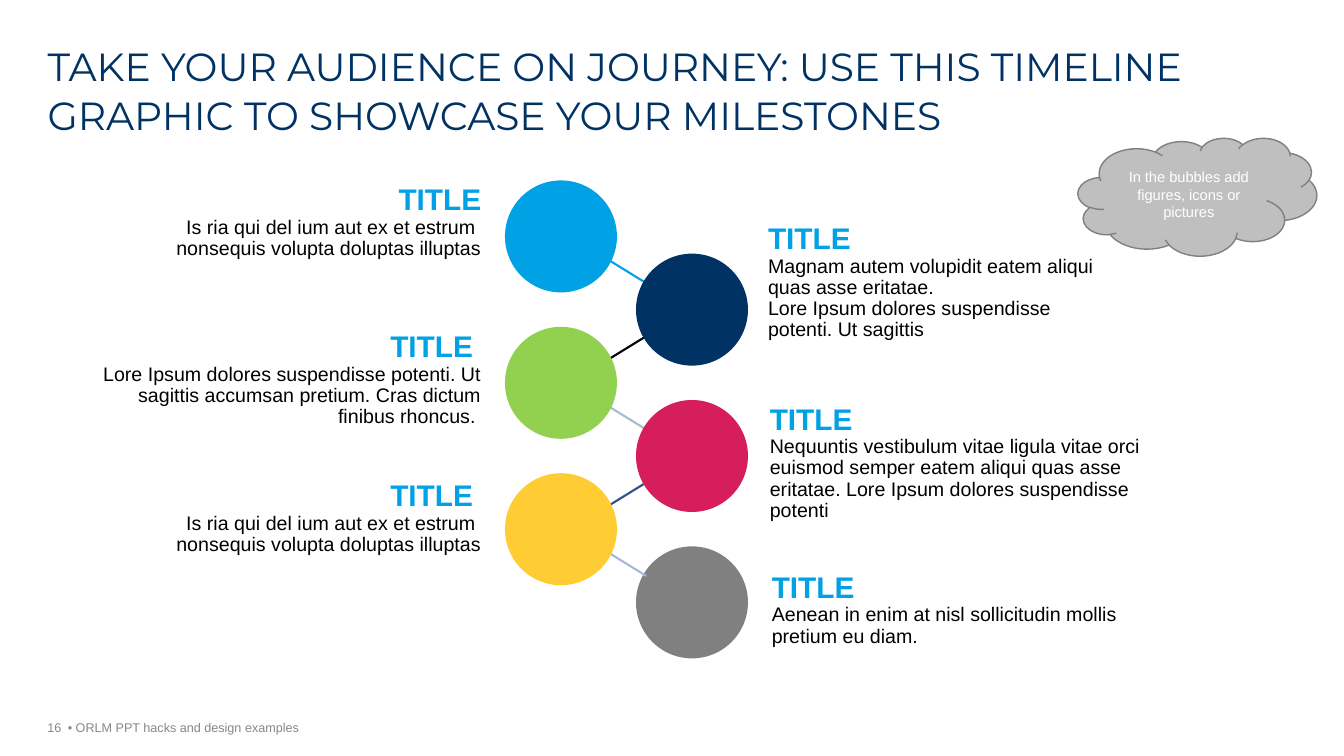
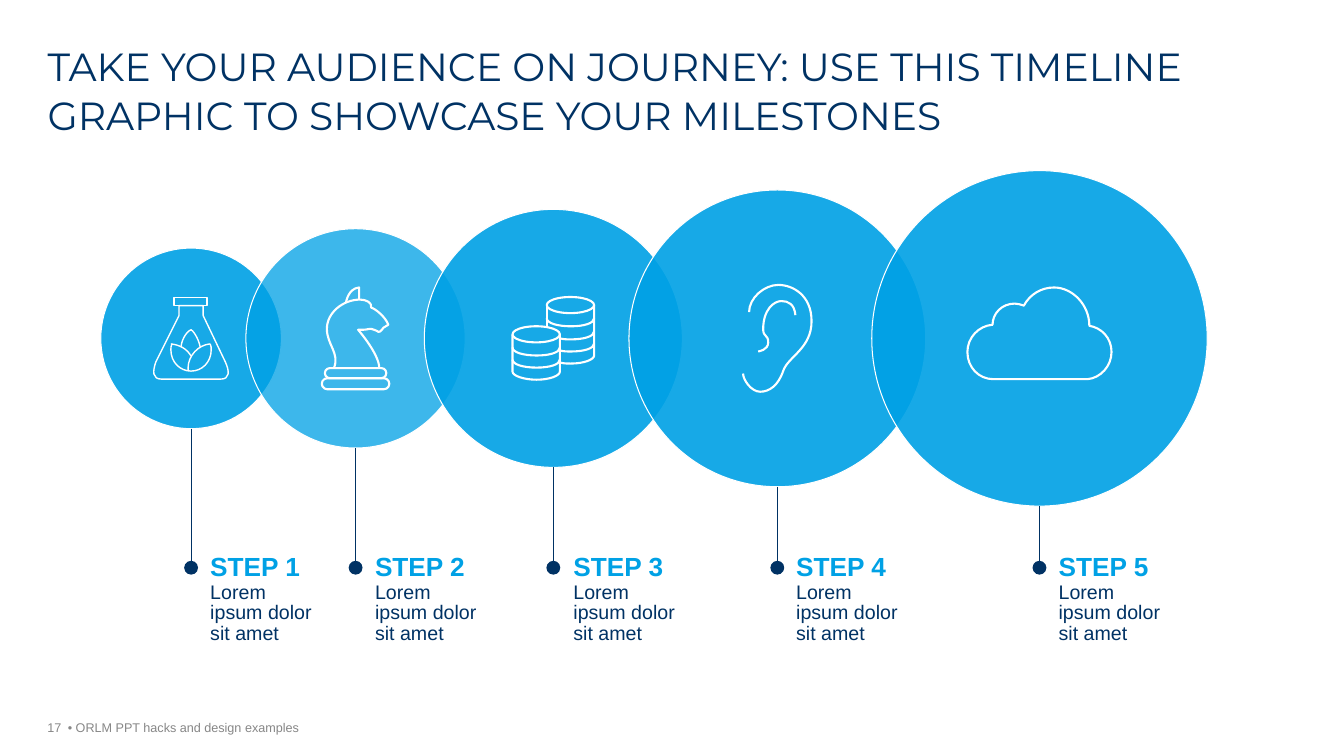
import copy
from dataclasses import dataclass

import lxml.etree
import pptx
import pptx.dml.color
import pptx.enum.shapes
import pptx.enum.text
import pptx.oxml.ns
import pptx.util

Pt = pptx.util.Pt
SHAPE = pptx.enum.shapes.MSO_SHAPE
ALIGN = pptx.enum.text.PP_ALIGN
ANCHOR = pptx.enum.text.MSO_ANCHOR
qn = pptx.oxml.ns.qn


@dataclass(frozen=True)
class Theme:
    title_font: str = "Montserrat"
    font: str = "Arial"
    navy: str = "003264"
    blue: str = "00A1E5"
    green: str = "92D050"
    red: str = "D61E5C"
    yellow: str = "FFCC33"
    grey: str = "808080"
    silver: str = "BFBFBF"
    footer: str = "878787"
    black: str = "000000"
    white: str = "FFFFFF"
    links: tuple = ("00A1E5", "00050A", "A5BECB", "2E518E", "A5B8D9")
    title_size: float = 28
    heading_size: float = 21.3
    step_size: float = 18.7
    body_size: float = 14
    note_size: float = 10.5
    footer_size: float = 9


T = Theme()
TITLE = "TAKE YOUR AUDIENCE ON JOURNEY: USE THIS TIMELINE GRAPHIC TO SHOWCASE YOUR MILESTONES"
FOOTER = "• ORLM PPT hacks and design examples"
UNIT = 0.72  # points per icon grid unit

# Milestones from top to bottom: circle colour, label box, heading, paragraphs
MILESTONES = [
    (T.blue, (59.3, 132.1, 284.4, 54), "TITLE",
     ["Is ria qui del ium aut ex et estrum \vnonsequis volupta doluptas illuptas"]),
    (T.navy, (548.6, 160.1, 241.2, 84), "TITLE",
     ["Magnam autem volupidit eatem aliqui quas asse eritatae.",
      "Lore Ipsum dolores suspendisse potenti. Ut sagittis"]),
    (T.green, (59.3, 237.2, 284.4, 69), "TITLE ",
     ["Lore Ipsum dolores suspendisse potenti. Ut sagittis accumsan pretium. "
      "Cras dictum finibus rhoncus. "]),
    (T.red, (549.9, 289, 267.8, 84), "TITLE",
     ["Nequuntis vestibulum vitae ligula vitae orci euismod semper eatem aliqui "
      "quas asse eritatae. Lore Ipsum dolores suspendisse potenti"]),
    (T.yellow, (59.3, 343.7, 284.4, 54), "TITLE ",
     ["Is ria qui del ium aut ex et estrum \vnonsequis volupta doluptas illuptas"]),
    (T.grey, (551.3, 409.1, 285, 54), "TITLE",
     ["Aenean in enim at nisl sollicitudin mollis pretium eu diam."]),
]


def coin_edge(right, y):
    """Lower edge of a whole coin, 47 units wide."""
    return (f"M{right} {y} C{right} {y + 5} {right - 10} {y + 8} {right - 23} {y + 8} "
            f"C{right - 36} {y + 8} {right - 47} {y + 5} {right - 47} {y}")


def hidden_coin_edge(y):
    """Lower edge of a coin partly behind the front stack."""
    return f"M81 {y} C81 {y + 5} 71 {y + 8} 58 {y + 8} C54 {y + 8} 51 {y + 8} 47 {y + 7}"


# Strokes: M, L, C, Z outlines; E ellipse, R rectangle, P pill (x y w h); S line
FLASK = ["R22 0 33 8",
         "M73 64 L51 18 L51 8 L27 8 L27 18 L4 64 C1 73 0 81 10 81 L68 81 C78 81 77 73 73 64 Z",
         "M58 46 C59 48 59 50 59 52 C59 64 50 73 39 73 C28 73 19 64 19 52 C19 50 19 48 20 46",
         "M39 58 C35 51 28 47 19 46",
         "M58 46 C46 47 36 58 36 70 C36 71 36 72 36 72",
         "M29 49 C30 39 37 32 39 32 C40 32 46 39 48 49"]
KNIGHT = ["M12 80 C18 65 5 57 5 41 C5 25 21 12 38 12 C44 12 50 15 49 20 C53 21 63 29 66 37 "
          "L61 40 C61 40 58 45 56 44 C55 43 50 41 48 41 C46 41 45 42 40 42 L36 42 "
          "C36 42 57 66 57 80",
          "M24 15 C24 15 26 1 37 0 C37 4 37 12 37 12",
          "P3 80 61 10", "P0 90 67 11"]
COINS = ["E0 29 47 16", "M47 37 L47 74 C47 78 37 82 24 82 C11 82 0 78 0 74 L0 37",
         coin_edge(47, 62), coin_edge(47, 50),
         "E34 0 47 16", "S34 30 34 8",
         "M81 8 L81 58 C81 62 71 66 58 66 C54 66 51 66 47 65",
         hidden_coin_edge(46), hidden_coin_edge(34), coin_edge(81, 21)]
EAR = ["M6 27 C6 13 21 0 35 0 C49 0 68 10 68 36 C68 63 45 71 40 85 C35 100 26 106 17 106 "
       "C8 106 0 94 0 88",
       "M52 30 C51 19 45 16 38 16 C31 16 20 24 20 44 C20 52 25 49 25 57 C25 65 15 66 15 66"]
CLOUD = ["M121 38 C121 17 104 0 86 0 C73 0 62 7 56 18 C53 17 50 16 47 16 C34 16 25 26 25 37 "
         "C11 38 0 50 0 64 C0 79 11 91 26 91 L119 91 C132 90 143 78 143 64 "
         "C143 50 133 40 121 38 Z"]

# Steps: circle centre, label left, opacity in percent, icon, its size in units, line width
STEPS = [
    (136.5, 130.7, 91, FLASK, (78, 81), 1),
    (254, 248.4, 76, KNIGHT, (67, 101), 1.5),
    (395.25, 390.1, 91, COINS, (81, 82), 1.5),
    (555.25, 549.2, 91, EAR, (68, 106), 1.5),
    (742.5, 736.7, 91, CLOUD, (143, 101), 1.5),
]


def rgb(color):
    return pptx.dml.color.RGBColor.from_string(color)


def write(p, text, size=T.body_size, color=T.black, font=T.font, bold=False,
          align=ALIGN.LEFT, spacing=1.0):
    p.text = text
    p.alignment, p.line_spacing = align, spacing
    for r in p.runs:
        r.font.name, r.font.size, r.font.bold = font, Pt(size), bold
        r.font.color.rgb = rgb(color)
    for br in p._p.findall(qn("a:br")):
        br.insert(0, copy.deepcopy(p.runs[0]._r.rPr))


def frame(sp, insets=(0, 0, 0, 0), anchor=ANCHOR.TOP):
    tf = sp.text_frame
    tf.word_wrap = True
    tf.auto_size = pptx.enum.text.MSO_AUTO_SIZE.NONE
    tf.vertical_anchor = anchor
    tf.margin_left, tf.margin_top, tf.margin_right, tf.margin_bottom = map(Pt, insets)
    return tf


def text_box(slide, box, insets=(0, 0, 0, 0), anchor=ANCHOR.TOP):
    return frame(slide.shapes.add_textbox(*map(Pt, box)), insets, anchor)


def paint(sp, fill=None, line=None, width=1, opacity=100):
    sp.shadow.inherit = False
    if fill:
        sp.fill.solid()
        sp.fill.fore_color.rgb = rgb(fill)
        if opacity < 100:
            clr = sp._element.spPr.find(qn("a:solidFill"))[0]
            lxml.etree.SubElement(clr, qn("a:alpha"), val=str(opacity * 1000))
    else:
        sp.fill.background()
    if line:
        sp.line.color.rgb = rgb(line)
        sp.line.width = Pt(width)
    else:
        sp.line.fill.background()
    return sp


def add_shape(shapes, kind, box, **style):
    return paint(shapes.add_shape(kind, *map(Pt, box)), **style)


def add_circle(slide, center, d, **style):
    x, y = center
    add_shape(slide.shapes, SHAPE.OVAL, (x - d / 2, y - d / 2, d, d), **style)


def add_line(shapes, start, end, color, width, dot=False):
    kind = pptx.enum.shapes.MSO_CONNECTOR.STRAIGHT
    sp = shapes.add_connector(kind, *map(Pt, (*start, *end)))
    sp.line.color.rgb, sp.line.width = rgb(color), Pt(width)
    if dot:
        lxml.etree.SubElement(sp.line._get_or_add_ln(), qn("a:tailEnd"),
                              type="oval", w="lg", len="lg")
    lxml.etree.SubElement(sp._element.spPr, qn("a:effectLst"))


def add_outline(shapes, stroke, left, top):
    """Build a freeform through the stroke's nodes, then bend its curved segments."""
    closed = stroke.endswith("Z")
    segments = []
    for token in stroke.rstrip(" Z").split():
        if token[0].isalpha():
            segments.append([])
            token = token[1:]
        segments[-1].append(Pt(float(token) * UNIT))
    segments = [list(zip(s[::2], s[1::2])) for s in segments]
    start = segments[0][0]
    builder = shapes.build_freeform(*start)
    builder.add_line_segments([s[-1] for s in segments[1:]], close=closed)
    sp = builder.convert_to_shape(Pt(left), Pt(top))
    first = next(sp._element.iter(qn("a:moveTo")))[0]
    dx, dy = int(first.get("x")) - start[0], int(first.get("y")) - start[1]
    nodes = list(sp._element.iter(qn("a:lnTo")))
    for node, points in zip(nodes, segments[1:]):
        if len(points) == 3:
            bend = lxml.etree.Element(qn("a:cubicBezTo"))
            for x, y in points:
                lxml.etree.SubElement(bend, qn("a:pt"), x=str(x + dx), y=str(y + dy))
            node.getparent().replace(node, bend)
    return sp


def draw_icon(slide, strokes, box, width):
    left, top = box[:2]
    shapes = slide.shapes.add_group_shape().shapes
    presets = {"E": SHAPE.OVAL, "R": SHAPE.RECTANGLE, "P": SHAPE.ROUNDED_RECTANGLE}
    for stroke in strokes:
        kind = stroke[0]
        if kind == "M":
            paint(add_outline(shapes, stroke, left, top), line=T.white, width=width)
            continue
        x, y, a, b = (float(v) * UNIT for v in stroke[1:].split())
        if kind == "S":
            add_line(shapes, (left + x, top + y), (left + a, top + b), T.white, width)
        else:
            sp = add_shape(shapes, presets[kind], (left + x, top + y, a, b),
                           line=T.white, width=width)
            if kind == "P":
                sp.adjustments[0] = 0.5


def new_slide(prs, number):
    """Add a slide with the shared title, page number and footer."""
    slide = prs.slides.add_slide(prs.slide_layouts[5])
    title = slide.shapes.title
    title.left, title.top, title.width, title.height = map(Pt, (34, 28.8, 892, 70.6))
    write(frame(title).paragraphs[0], TITLE, size=T.title_size, color=T.navy,
          font=T.title_font, spacing=1.04)
    small = {"size": T.footer_size, "color": T.footer}
    tf = text_box(slide, (42.7, 504, 428, 20.9), (5.76, 0, 0, 0), ANCHOR.BOTTOM)
    write(tf.paragraphs[0], FOOTER, **small)
    tf = text_box(slide, (23, 504, 20.9, 20.9), anchor=ANCHOR.BOTTOM)
    write(tf.paragraphs[0], str(number), align=ALIGN.RIGHT, **small)
    return slide


def label(slide, box, heading, paragraphs, size, color=T.black, insets=(0, 0, 0, 0),
          align=ALIGN.LEFT, spacing=0.9):
    tf = text_box(slide, box, insets)
    write(tf.paragraphs[0], heading, size=size, color=T.blue, bold=True,
          align=align, spacing=spacing)
    for text in paragraphs:
        write(tf.add_paragraph(), text, color=color, align=align, spacing=spacing)


def zigzag(slide, box):
    """Linked circles in two columns, alternating left and right down the box."""
    left, top, width, height = box
    d = 80
    last = len(MILESTONES) - 1
    pitch = (height - d) / last
    centers = [(left + d / 2 + (width - d) * (i % 2), top + d / 2 + pitch * i)
               for i in range(last + 1)]
    joints = [(34.2, 16.9), (-32.8, 19)]  # link ends seen from a left and a right centre
    for i in (0, last):
        add_circle(slide, centers[i], d, fill=MILESTONES[i][0])
    for i, color in enumerate(T.links):
        (x1, y1), (x2, y2) = centers[i:i + 2]
        (dx1, dy1), (dx2, dy2) = joints[i % 2], joints[1 - i % 2]
        add_line(slide.shapes, (x1 + dx1, y1 + dy1), (x2 + dx2, y2 - dy2), color, 1.5)
    for i in range(1, last):
        add_circle(slide, centers[i], d, fill=MILESTONES[i][0])
    for i, (_, label_box, heading, paragraphs) in enumerate(MILESTONES):
        label(slide, label_box, heading, paragraphs, T.heading_size,
              align=ALIGN.LEFT if i % 2 else ALIGN.RIGHT)


def note_cloud(slide, box):
    sp = add_shape(slide.shapes, SHAPE.CLOUD, box, fill=T.silver, line=T.grey)
    tf = frame(sp, (7.2, 3.6, 7.2, 3.6), ANCHOR.MIDDLE)
    write(tf.paragraphs[0], "In the bubbles add figures, icons or pictures",
          size=T.note_size, color=T.white, align=ALIGN.CENTER)


def growing_steps(slide, box):
    """Overlapping circles of growing size, each with an icon and a caption below."""
    left, top, width, height = box
    largest, smallest = 239.6, 129
    growth = (largest - smallest) / (len(STEPS) - 1)
    middle, foot = top + largest / 2, top + height - 62
    for i, (x, _, opacity, *_) in enumerate(STEPS):
        add_circle(slide, (left + x - 72, middle), smallest + growth * i,
                   fill=T.blue, opacity=opacity, line=T.white, width=0.75)
    for i, (x, label_x, _, strokes, size, line_width) in enumerate(STEPS):
        x, label_x = left + x - 72, left + label_x - 72
        w, h = (n * UNIT for n in size)
        draw_icon(slide, strokes, (x - w / 2, middle - h / 2, w, h), line_width)
        start = middle + (smallest + growth * i) / 2
        add_line(slide.shapes, (x, start), (x, foot), T.navy, 0.75, dot=True)
        label(slide, (label_x, foot - 13.1, 119, 74.2), f"STEP {i + 1}",
              ["Lorem ipsum dolor sit amet"], T.step_size, color=T.navy,
              insets=(19.5, 3.6, 19.5, 5), spacing=0.89)


def main():
    prs = pptx.Presentation()
    prs.slide_width, prs.slide_height = Pt(960), Pt(540)
    slide = new_slide(prs, 16)
    zigzag(slide, (360.7, 128.9, 173.6, 341.4))
    note_cloud(slide, (770, 98.6, 170.6, 84.2))
    slide = new_slide(prs, 17)
    growing_steps(slide, (72, 121.9, 790.3, 345.6))
    prs.save("out.pptx")


if __name__ == "__main__":
    main()
